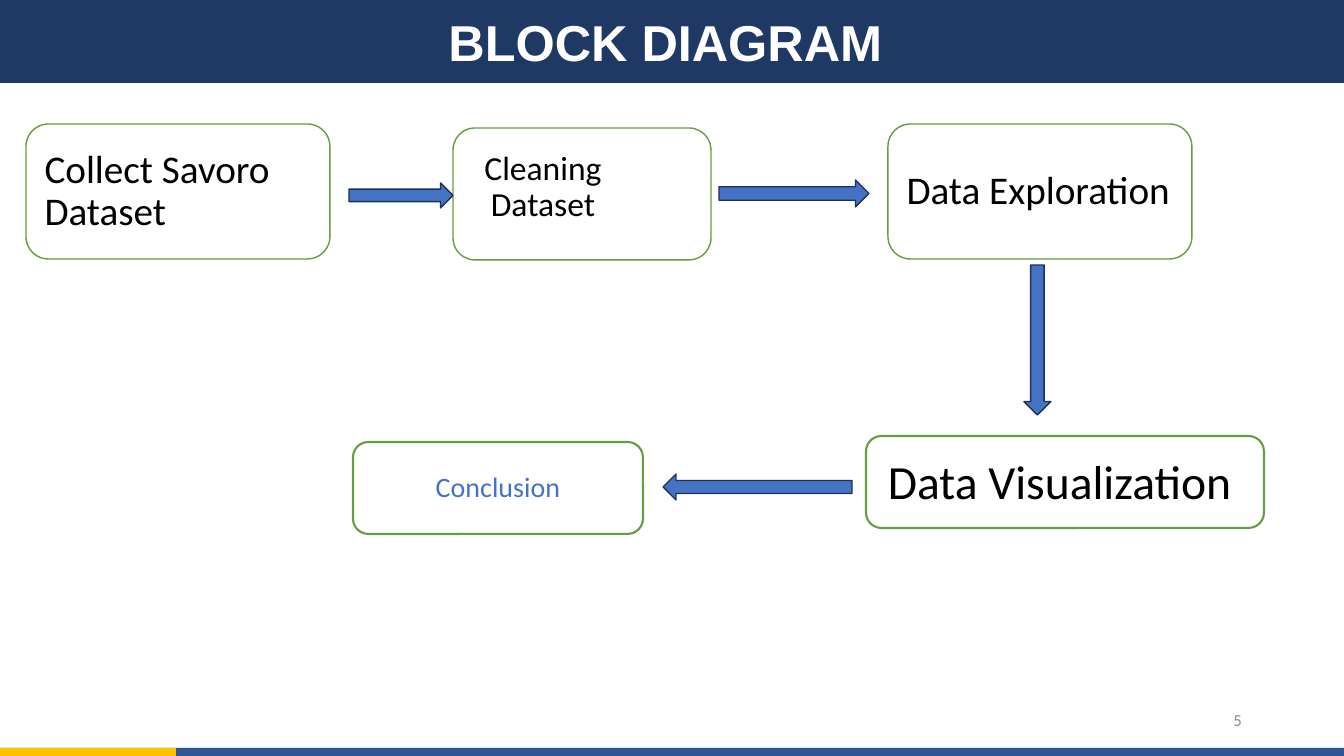
from dataclasses import dataclass

from pptx import Presentation
from pptx.dml.color import RGBColor
from pptx.enum.shapes import MSO_SHAPE
from pptx.enum.text import MSO_ANCHOR, PP_ALIGN
from pptx.util import Emu, Pt

RECTANGLE, ROUNDED = MSO_SHAPE.RECTANGLE, MSO_SHAPE.ROUNDED_RECTANGLE
RIGHT_ARROW, DOWN_ARROW = MSO_SHAPE.RIGHT_ARROW, MSO_SHAPE.DOWN_ARROW
LEFT_ARROW = MSO_SHAPE.LEFT_ARROW
LEFT, CENTER, RIGHT = PP_ALIGN.LEFT, PP_ALIGN.CENTER, PP_ALIGN.RIGHT
MIDDLE = MSO_ANCHOR.MIDDLE

EMU_PER_PX = 914400 / 100.8
SLIDE_WIDTH, SLIDE_HEIGHT = 1344, 756


@dataclass(frozen=True)
class Theme:
    heading_font: str = "Arial"
    body_font: str = "Calibri"
    navy: str = "203864"
    blue: str = "2F5597"
    gold: str = "FFC000"
    white: str = "FFFFFF"
    black: str = "000000"
    gray: str = "8C8C8C"
    accent: str = "4472C4"
    arrow_edge: str = "1E3256"
    step_edge: str = "669D40"
    title_size: int = 36
    number_size: int = 12
    line_spacing: float = 0.9


THEME = Theme()

TITLE, TITLE_BOX = "BLOCK DIAGRAM", (22, 4, 1287, 82)
PAGE_NUMBER, NUMBER_BOX = "5", (950, 701, 302, 40)

# left, top, width, height; colour
BANDS = [
    ((0, 748, SLIDE_WIDTH, 8), THEME.blue),
    ((0, 748, 176, 8), THEME.gold),
    ((0, 0, SLIDE_WIDTH, 83), THEME.navy),
]

# text; box; insets left, top, right, bottom; type size; alignment; colour; edge in points
STEPS = [
    ("Collect Savoro Dataset", (26, 124, 304, 135), (12, 12, 12, 12), 28, LEFT, THEME.black, 1),
    ("Cleaning Dataset", (453, 128, 258, 132), (0, 0, 78, 13), 24, CENTER, THEME.black, 1),
    ("Data Exploration", (888, 124, 304, 135), (12, 12, 6, 12), 28, LEFT, THEME.black, 1),
    ("Data Visualization ", (866, 436, 398, 92), (14, 4, 14, 0), 34, CENTER, THEME.black, 1.5),
    ("Conclusion", (353, 442, 290, 92), (7, 7, 7, 7), 20, CENTER, THEME.accent, 1.5),
]

ARROWS = [
    (RIGHT_ARROW, (349, 183, 104, 25)),
    (RIGHT_ARROW, (719, 180, 150, 27)),
    (DOWN_ARROW, (1024, 265, 27, 150)),
    (LEFT_ARROW, (663, 474, 189, 26)),
]


def px(length):
    return Emu(round(length * EMU_PER_PX))


def add_shape(page, kind, box, fill, edge=None, edge_width=1):
    shape = page.shapes.add_shape(kind, *map(px, box))
    shape.shadow.inherit = False
    shape.fill.solid()
    shape.fill.fore_color.rgb = RGBColor.from_string(fill)
    if edge:
        shape.line.color.rgb = RGBColor.from_string(edge)
        shape.line.width = Pt(edge_width)
    else:
        shape.line.fill.background()
    return shape


def write(shape, text, font_name, size, color, align, insets=(10, 5, 10, 5), bold=False):
    """Set one paragraph, centred vertically inside the insets."""
    frame = shape.text_frame
    frame.word_wrap = True
    frame.vertical_anchor = MIDDLE
    frame.margin_left, frame.margin_top, frame.margin_right, frame.margin_bottom = map(px, insets)
    para = frame.paragraphs[0]
    para.text = text
    para.alignment = align
    para.line_spacing = THEME.line_spacing
    para.font.name = font_name
    para.font.size = Pt(size)
    para.font.bold = bold
    para.font.color.rgb = RGBColor.from_string(color)


def main():
    deck = Presentation()
    deck.slide_width, deck.slide_height = px(SLIDE_WIDTH), px(SLIDE_HEIGHT)
    page = deck.slides.add_slide(deck.slide_layouts[6])

    for box, color in BANDS:
        add_shape(page, RECTANGLE, box, color)

    title = page.shapes.add_textbox(*map(px, TITLE_BOX))
    write(title, TITLE, THEME.heading_font, THEME.title_size, THEME.white, CENTER, bold=True)
    number = page.shapes.add_textbox(*map(px, NUMBER_BOX))
    write(number, PAGE_NUMBER, THEME.body_font, THEME.number_size, THEME.gray, RIGHT)

    for text, box, insets, size, align, color, edge_width in STEPS:
        step = add_shape(page, ROUNDED, box, THEME.white, THEME.step_edge, edge_width)
        write(step, text, THEME.body_font, size, color, align, insets)

    for kind, box in ARROWS:
        add_shape(page, kind, box, THEME.accent, THEME.arrow_edge)

    deck.save("out.pptx")


if __name__ == "__main__":
    main()
